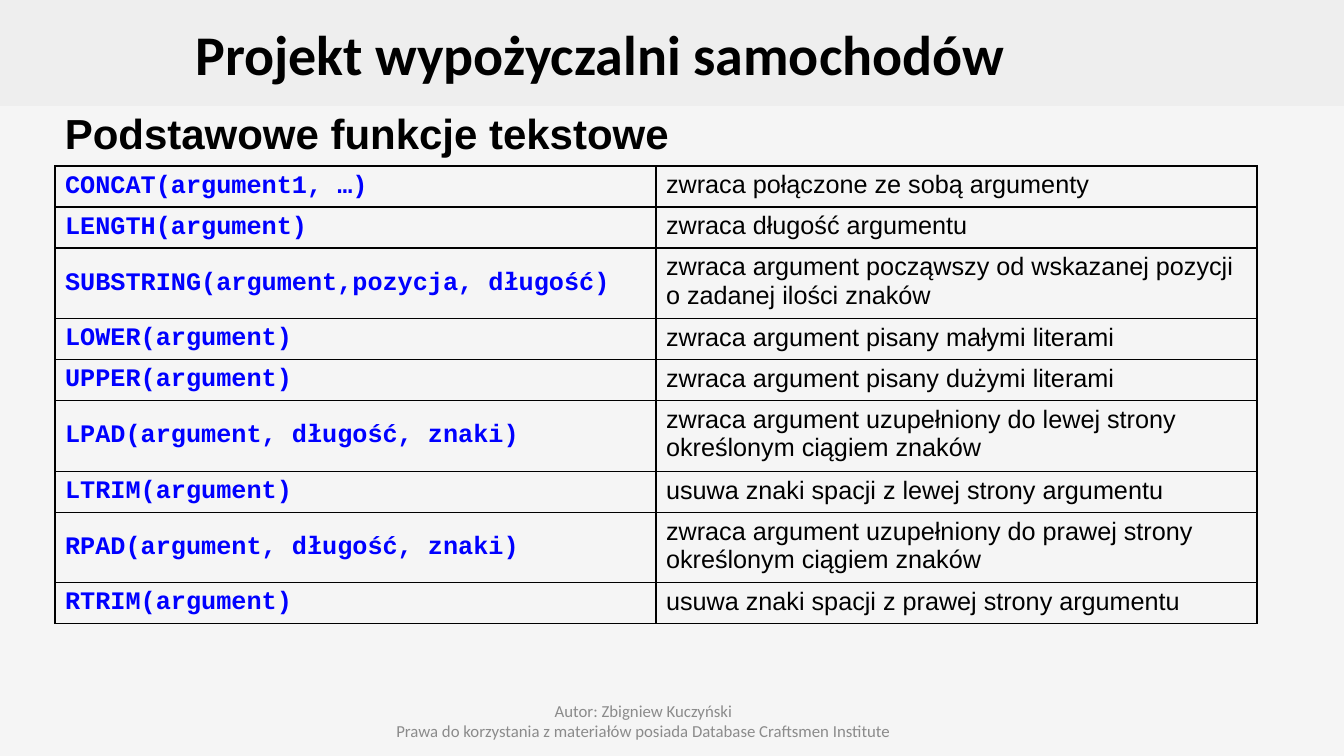
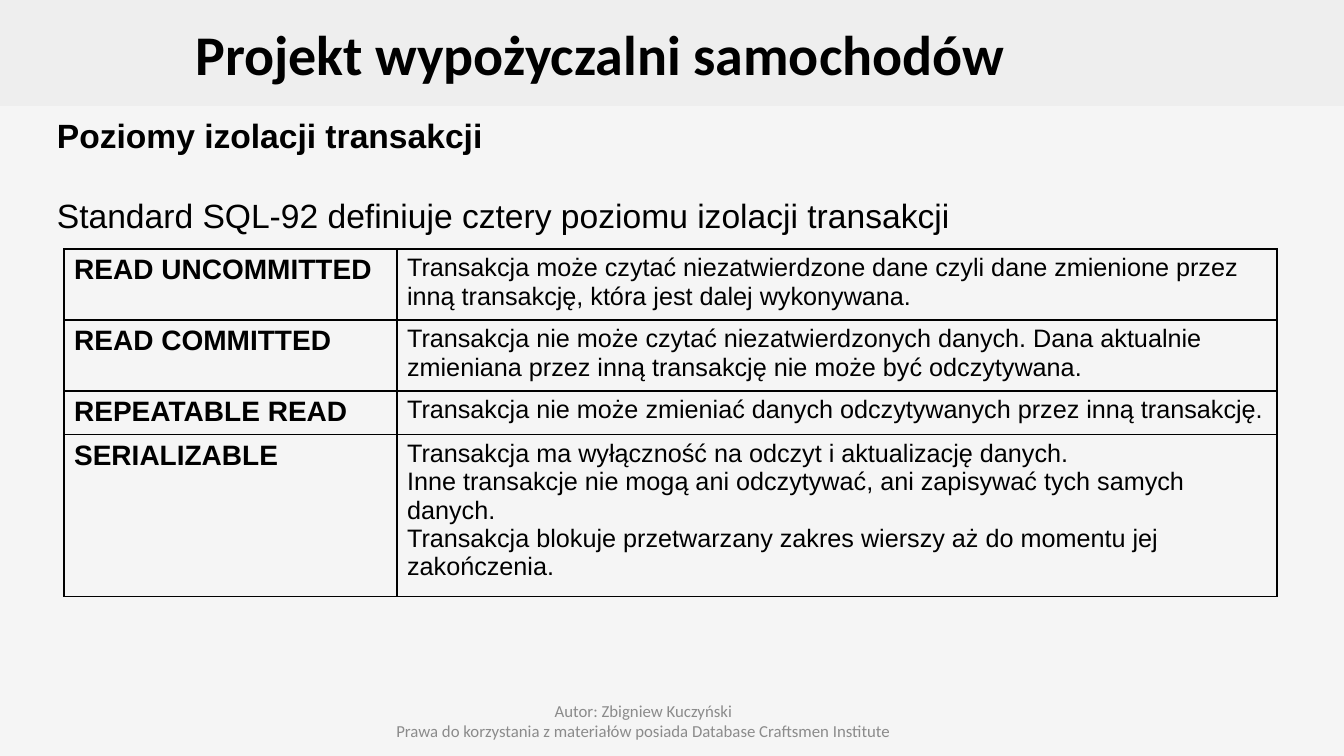
from lxml import etree
from pptx import Presentation
from pptx.dml.color import RGBColor
from pptx.enum.shapes import MSO_SHAPE
from pptx.enum.text import MSO_ANCHOR, PP_ALIGN
from pptx.oxml.ns import qn
from pptx.util import Pt

PX = 12192000 / 1344
BORDER_WIDTH = Pt(1)

PAGE = RGBColor(0xF5, 0xF5, 0xF5)
BAND = RGBColor(0xEE, 0xEE, 0xEE)
BLACK = RGBColor(0x00, 0x00, 0x00)
BLUE = RGBColor(0x00, 0x00, 0xFF)
GREY = RGBColor(0x8B, 0x8B, 0x8B)

RECTANGLE = MSO_SHAPE.RECTANGLE
TOP, MIDDLE = MSO_ANCHOR.TOP, MSO_ANCHOR.MIDDLE
LEFT, CENTER = PP_ALIGN.LEFT, PP_ALIGN.CENTER

TITLE = {"name": "Calibri", "size": Pt(40), "bold": True, "color": BLACK}
FOOTER = {"name": "Calibri", "size": Pt(12), "bold": False, "color": GREY}
HEADING = {"name": "Arial", "size": Pt(30), "bold": True, "color": BLACK}
SUBHEADING = HEADING | {"size": Pt(24)}
LEAD = SUBHEADING | {"bold": False}
CODE = {"name": "Courier New", "size": Pt(18), "bold": True, "color": BLUE}
LEVEL = HEADING | {"size": Pt(20)}
DESCRIPTION = LEAD | {"size": Pt(18)}

title_lines = [("Projekt wypożyczalni samochodów", TITLE, 3)]
footer_lines = [
    ("Autor: Zbigniew Kuczyński", FOOTER, 0),
    ("Prawa do korzystania z materiałów posiada Database Craftsmen Institute", FOOTER, 0),
]

# Each row: height, left cell, paragraphs of the right cell
text_functions = [
    (41, "CONCAT(argument1, …)", ["zwraca połączone ze sobą argumenty"]),
    (41, "LENGTH(argument)", ["zwraca długość argumentu"]),
    (70, "SUBSTRING(argument,pozycja, długość)",
     ["zwraca argument począwszy od wskazanej pozycji o zadanej ilości znaków"]),
    (41, "LOWER(argument)", ["zwraca argument pisany małymi literami"]),
    (41, "UPPER(argument)", ["zwraca argument pisany dużymi literami"]),
    (70, "LPAD(argument, długość, znaki)",
     ["zwraca argument uzupełniony do lewej strony określonym ciągiem znaków"]),
    (41, "LTRIM(argument)", ["usuwa znaki spacji z lewej strony argumentu"]),
    (70, "RPAD(argument, długość, znaki)",
     ["zwraca argument uzupełniony do prawej strony określonym ciągiem znaków"]),
    (41, "RTRIM(argument)", ["usuwa znaki spacji z prawej strony argumentu"]),
]
isolation_levels = [
    (71, "READ UNCOMMITTED",
     ["Transakcja może czytać niezatwierdzone dane czyli dane zmienione przez inną "
      "transakcję, która jest dalej wykonywana."]),
    (71, "READ COMMITTED",
     ["Transakcja nie może czytać niezatwierdzonych danych. Dana aktualnie zmieniana "
      "przez inną transakcję nie może być odczytywana."]),
    (43, "REPEATABLE READ",
     ["Transakcja nie może zmieniać danych odczytywanych przez inną transakcję."]),
    (162, "SERIALIZABLE",
     ["Transakcja ma wyłączność na odczyt i aktualizację danych.",
      "Inne transakcje nie mogą ani odczytywać, ani zapisywać tych samych danych.",
      "Transakcja blokuje przetwarzany zakres wierszy aż do momentu jej zakończenia."]),
]

topics = [
    {
        "intro_box": (55, 103, 1240, 581),
        "intro": [("Podstawowe funkcje tekstowe", HEADING, 0)],
        "table_at": (55, 166),
        "columns": (601, 601),
        "rows": text_functions,
        "key_format": CODE,
        "key_anchor": MIDDLE,
    },
    {
        "intro_box": (47, 110, 1247, 581),
        "intro": [
            ("Poziomy izolacji transakcji", SUBHEADING, 0),
            ("Standard SQL-92 definiuje cztery poziomu izolacji transakcji", LEAD, 28),
        ],
        "table_at": (64, 249),
        "columns": (333, 880),
        "rows": isolation_levels,
        "key_format": LEVEL,
        "key_anchor": TOP,
    },
]


def px(*lengths):
    """Turn px lengths into EMU."""
    return [round(length * PX) for length in lengths]


def write(frame, lines, align=LEFT, anchor=TOP):
    """Fill a text frame with (text, format, points before) lines."""
    frame.word_wrap = True
    frame.vertical_anchor = anchor
    for index, (text, text_format, before) in enumerate(lines):
        paragraph = frame.add_paragraph() if index else frame.paragraphs[0]
        paragraph.alignment = align
        paragraph.space_before = Pt(before)
        run = paragraph.add_run()
        run.text = text
        for key, value in text_format.items():
            if key == "color":
                run.font.color.rgb = value
            else:
                setattr(run.font, key, value)


prs = Presentation()
prs.slide_width, prs.slide_height = px(1344, 756)
page_fill = prs.slide_master.background.fill
page_fill.solid()
page_fill.fore_color.rgb = PAGE

for topic in topics:
    slide = prs.slides.add_slide(prs.slide_layouts[6])

    band = slide.shapes.add_shape(RECTANGLE, *px(0, 0, 1344, 106))
    band.shadow.inherit = False
    band.fill.solid()
    band.fill.fore_color.rgb = BAND
    band.line.fill.background()

    for box, lines, align, anchor in [
        ((0, 0, 1200, 106), title_lines, CENTER, MIDDLE),
        ((328, 701, 631, 40), footer_lines, CENTER, MIDDLE),
        (topic["intro_box"], topic["intro"], LEFT, TOP),
    ]:
        write(slide.shapes.add_textbox(*px(*box)).text_frame, lines, align, anchor)

    rows, columns = topic["rows"], topic["columns"]
    table_size = sum(columns), sum(height for height, _, _ in rows)
    table = slide.shapes.add_table(
        len(rows), len(columns), *px(*topic["table_at"], *table_size)).table
    table.first_row = table.horz_banding = False
    for column, width in zip(table.columns, px(*columns)):
        column.width = width

    for row, (height, key, details) in zip(table.rows, rows):
        row.height = px(height)[0]
        key_cell, detail_cell = row.cells
        write(key_cell.text_frame, [(key, topic["key_format"], 0)])
        key_cell.vertical_anchor = topic["key_anchor"]
        write(detail_cell.text_frame, [(text, DESCRIPTION, 0) for text in details])
        detail_cell.vertical_anchor = TOP

        for cell in (key_cell, detail_cell):
            cell.fill.background()
            properties = cell._tc.get_or_add_tcPr()
            for position, side in enumerate(("lnL", "lnR", "lnT", "lnB")):
                border = etree.Element(qn(f"a:{side}"), w=str(BORDER_WIDTH))
                border_fill = etree.SubElement(border, qn("a:solidFill"))
                etree.SubElement(border_fill, qn("a:srgbClr"), val=str(BLACK))
                properties.insert(position, border)

prs.save("out.pptx")
